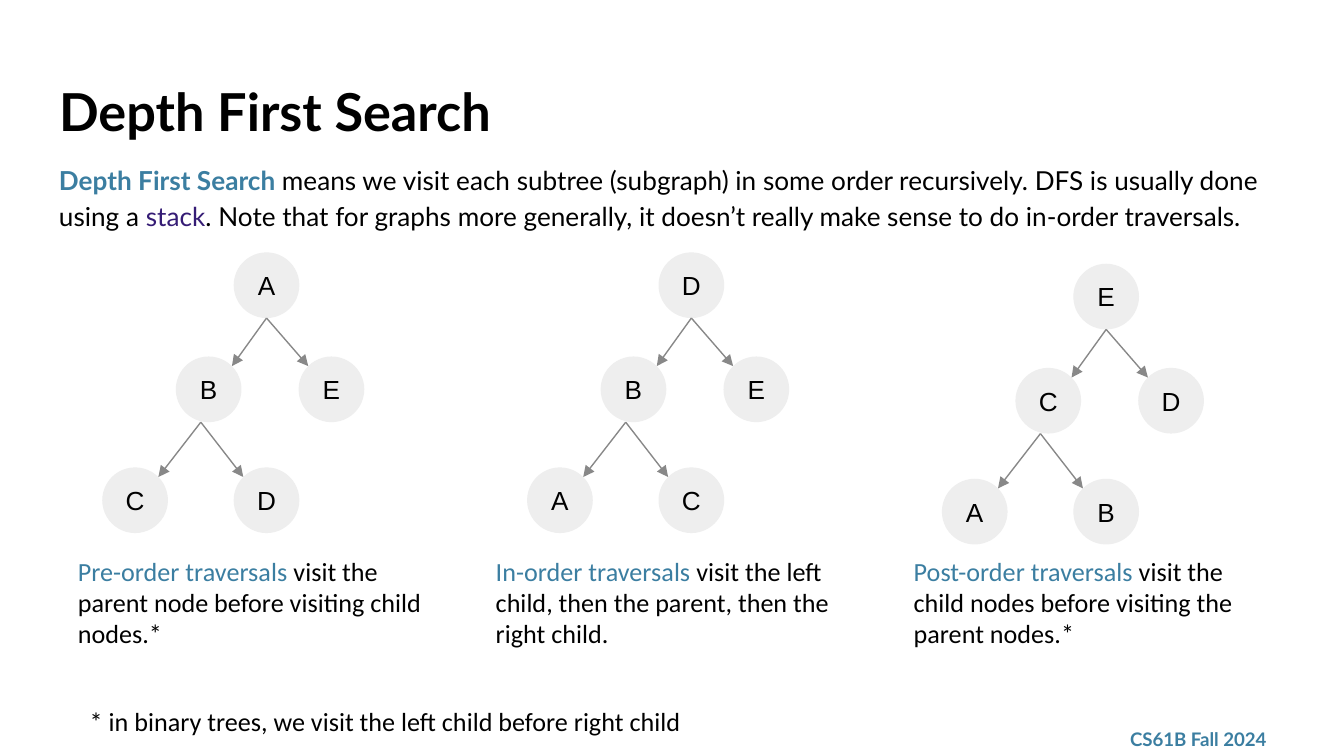
from dataclasses import dataclass

import pptx
import pptx.util
from lxml import etree
from pptx.dml.color import RGBColor
from pptx.enum.shapes import MSO_CONNECTOR, MSO_SHAPE
from pptx.enum.text import MSO_ANCHOR, MSO_AUTO_SIZE, PP_ALIGN
from pptx.oxml.ns import qn
from pptx.util import Pt


@dataclass(frozen=True)
class Theme:
    ink: str = "000000"
    accent: str = "3B7EA1"
    stack: str = "351C75"
    node: str = "EEEEEE"
    edge: str = "888888"
    heading_font: str = "Lato"
    caption_font: str = "Calibri"
    node_font: str = "Arial"
    title_size: float = 28
    text_size: float = 14
    footer_size: float = 10
    inset: float = 7.2
    edge_width: float = 0.75


THEME = Theme()

NODE = 35.2
CORNER = NODE * (1 - 0.5 ** 0.5) / 2  # from the node's box to its rim at 45 degrees
# Node positions in level order, relative to the tree's top left
NODE_OFFSETS = [(70.4, 0), (39.4, 55.8), (105.2, 55.8), (0, 115.2), (70.4, 115.2)]
# Parent index, x where its edges start, left child, right child
BRANCHES = [(0, 88, 1, 2), (1, 52.8, 3, 4)]

TREES = [("ABECD", 54.8, 135.2), ("DBEAC", 282.4, 135.2), ("ECDAB", 504.6, 141.3)]
CAPTIONS = [
    ("Pre-order traversals", " visit the parent node before visiting child nodes.*"),
    ("In-order traversals", " visit the left child, then the parent, then the right child."),
    ("Post-order traversals", " visit the child nodes before visiting the parent nodes.*"),
]
CAPTION_LEFT, CAPTION_STEP = 34.6, 223.9


def rgb(color):
    return RGBColor.from_string(color)


def set_font(font, name, size, color=THEME.ink, bold=False):
    font.name = name
    font.size = Pt(size)
    font.bold = bold
    font.color.rgb = rgb(color)


def prepare_frame(frame, anchor=MSO_ANCHOR.TOP):
    frame.word_wrap = True
    frame.auto_size = MSO_AUTO_SIZE.NONE
    frame.vertical_anchor = anchor
    frame.margin_left = frame.margin_right = Pt(THEME.inset)
    frame.margin_top = frame.margin_bottom = Pt(THEME.inset)
    return frame.paragraphs[0]


def add_title(slide, text):
    title = slide.shapes.title
    title.left, title.top, title.width, title.height = Pt(24.5), Pt(35), Pt(671), Pt(45.1)
    paragraph = prepare_frame(title.text_frame)
    paragraph.text = text
    paragraph.alignment = PP_ALIGN.LEFT
    set_font(paragraph.font, THEME.heading_font, THEME.title_size, bold=True)


def add_text(slide, box, pieces, font, size=THEME.text_size, anchor=MSO_ANCHOR.TOP):
    """Add one paragraph made of (text, color, bold) pieces."""
    textbox = slide.shapes.add_textbox(*(Pt(length) for length in box))
    paragraph = prepare_frame(textbox.text_frame, anchor)
    for text, color, bold in pieces:
        run = paragraph.add_run()
        run.text = text
        set_font(run.font, font, size, color, bold)
    return paragraph


def add_node(shapes, letter, left, top):
    node = shapes.add_shape(MSO_SHAPE.OVAL, Pt(left), Pt(top), Pt(NODE), Pt(NODE))
    node.shadow.inherit = False
    node.fill.solid()
    node.fill.fore_color.rgb = rgb(THEME.node)
    node.line.fill.background()
    paragraph = prepare_frame(node.text_frame, MSO_ANCHOR.MIDDLE)
    paragraph.text = letter
    paragraph.alignment = PP_ALIGN.CENTER
    set_font(paragraph.font, THEME.node_font, THEME.text_size)


def add_edge(shapes, start, end):
    edge = shapes.add_connector(
        MSO_CONNECTOR.STRAIGHT, *(Pt(length) for length in (*start, *end)))
    edge.line.color.rgb = rgb(THEME.edge)
    edge.line.width = Pt(THEME.edge_width)
    etree.SubElement(edge.line._get_or_add_ln(), qn("a:tailEnd"), type="triangle")
    etree.SubElement(edge._element.spPr, qn("a:effectLst"))


def add_tree(slide, letters, left, top):
    """Draw a five-node binary tree whose letters are in level order."""
    shapes = slide.shapes.add_group_shape().shapes
    places = [(left + dx, top + dy) for dx, dy in NODE_OFFSETS]
    for letter, place in zip(letters, places):
        add_node(shapes, letter, *place)
    for parent, start_x, left_child, right_child in BRANCHES:
        start = (left + start_x, places[parent][1] + NODE)
        for child, rim in ((left_child, NODE - CORNER), (right_child, CORNER)):
            child_left, child_top = places[child]
            add_edge(shapes, start, (child_left + rim, child_top + CORNER))


def main():
    deck = pptx.Presentation()
    deck.slide_width, deck.slide_height = Pt(720), Pt(405)
    slide = deck.slides.add_slide(deck.slide_layouts[5])

    add_title(slide, "Depth First Search")
    definition = add_text(slide, (24.5, 78.5, 671, 35.3), [
        ("Depth First Search ", THEME.accent, True),
        ("means we visit each subtree (subgraph) in some order recursively. "
         "DFS is usually done using a ", THEME.ink, False),
        ("stack", THEME.stack, False),
        (". Note that for graphs more generally, it doesn’t really make sense "
         "to do in-order traversals.", THEME.ink, False),
    ], THEME.heading_font)
    definition.line_spacing = 1.15
    definition.space_after = Pt(16)

    for column, (term, meaning) in enumerate(CAPTIONS):
        add_text(slide, (CAPTION_LEFT + column * CAPTION_STEP, 290.2, 203, 67),
                 [(term, THEME.accent, False), (meaning, THEME.ink, False)],
                 THEME.caption_font)
    for letters, left, top in TREES:
        add_tree(slide, letters, left, top)

    add_text(slide, (41, 370.8, 502.6, 31.7),
             [("* in binary trees, we visit the left child before right child",
               THEME.ink, False)], THEME.caption_font)
    add_text(slide, (598.3, 386.6, 97.2, 18.7),
             [("CS61B Fall 2024", THEME.accent, True)],
             THEME.heading_font, THEME.footer_size, MSO_ANCHOR.MIDDLE)

    deck.save("out.pptx")


if __name__ == "__main__":
    main()
